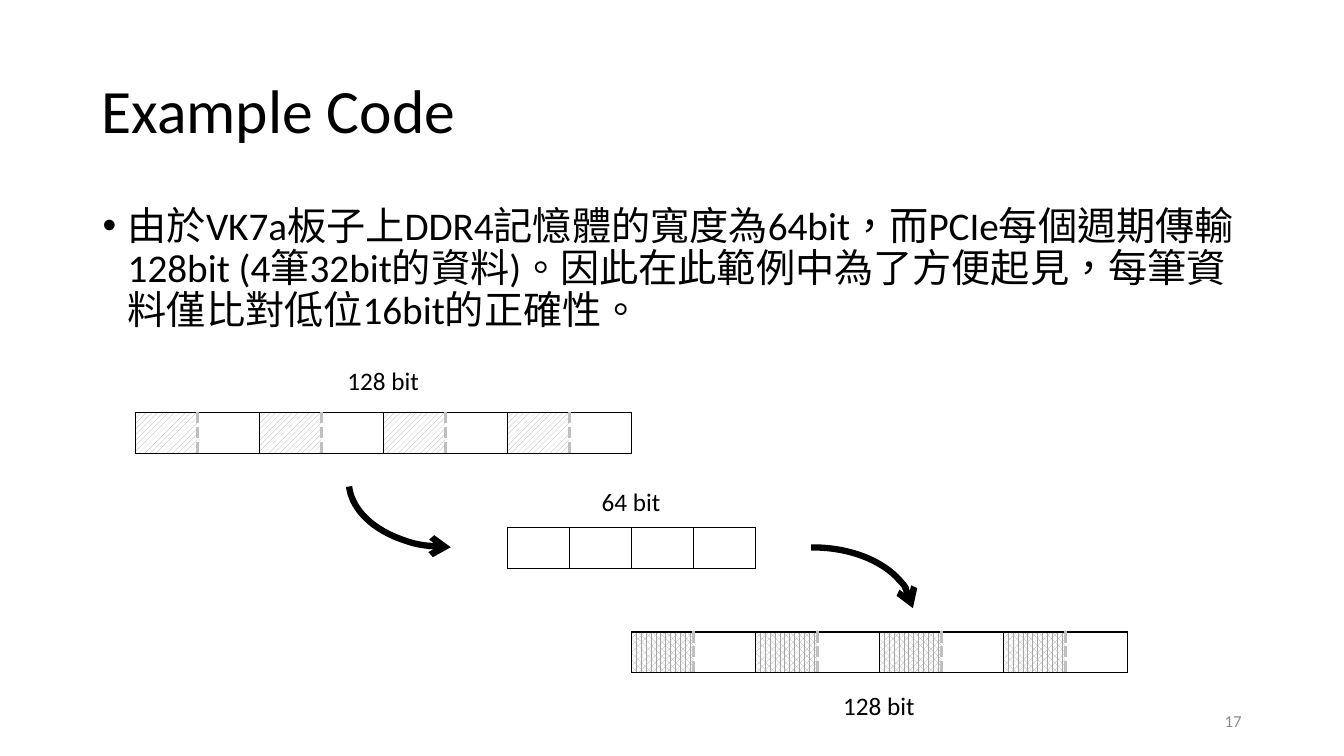
from lxml import etree
from pptx import Presentation
from pptx import util as u
from pptx.dml.color import RGBColor
from pptx.enum import dml, shapes, text
from pptx.oxml import ns

COLOURS = {"ink": "000000", "paper": "FFFFFF", "hatch": "A6A6A6",
           "dash": "BFBFBF", "number": "8C8C8C"}
FONT = "Calibri"
CELL_WIDTH, CELL_HEIGHT = 44.28, 29.2
BODY = ("由於VK7a板子上DDR4記憶體的寬度為64bit，而PCIe每個週期傳輸128bit "
        "(4筆32bit的資料)。因此在此範例中為了方便起見，每筆資料僅比對低位16bit的正確性。")


def colour(name):
    """Return the named colour."""
    return RGBColor.from_string(COLOURS[name])


def add_element(parent, tag, **attributes):
    """Append a drawing element to its parent."""
    element = etree.SubElement(parent, ns.qn(tag))
    for name, value in attributes.items():
        element.set(name, value)
    return element


def add_text(page, place, words, size, align=text.PP_ALIGN.LEFT,
             anchor=text.MSO_ANCHOR.TOP, ink="ink"):
    """Add a wrapped text box and return its paragraph."""
    box = page.shapes.add_textbox(*map(u.Pt, place))
    frame = box.text_frame
    frame.word_wrap = True
    frame.vertical_anchor = anchor
    frame.text = words
    para = frame.paragraphs[0]
    para.alignment = align
    span = para.runs[0]
    span.font.name, span.font.size = FONT, u.Pt(size)
    span.font.color.rgb = colour(ink)
    span._r.get_or_add_rPr().set("lang", "zh-TW")
    return para


def add_bullet(para, indent):
    """Give a paragraph a hanging bullet."""
    properties = para._p.get_or_add_pPr()
    properties.set("marL", str(u.Pt(indent)))
    properties.set("indent", str(u.Pt(-indent)))
    add_element(properties, "a:buFont", typeface="Arial")
    add_element(properties, "a:buChar", char="•")


def add_border(cell, side, dashed):
    """Draw one side of a cell, solid black or dashed grey."""
    width = u.Pt(2.25 if dashed else 1)
    line = add_element(cell._tc.get_or_add_tcPr(), "a:ln" + side, w=str(width))
    fill = add_element(line, "a:solidFill")
    add_element(fill, "a:srgbClr", val=COLOURS["dash" if dashed else "ink"])
    add_element(line, "a:prstDash", val="sysDash" if dashed else "solid")


def add_word(page, left, top, count, pattern=None):
    """Add a row of 16-bit cells; a pattern marks the high half of each pair."""
    frame = page.shapes.add_table(1, count, u.Pt(left), u.Pt(top),
                                  u.Pt(CELL_WIDTH * count), u.Pt(CELL_HEIGHT))
    table = frame.table
    table.first_row = table.horz_banding = False
    for index, cell in enumerate(table.iter_cells()):
        table.columns[index].width = u.Pt(CELL_WIDTH)
        high = index % 2 == 0
        add_border(cell, "L", bool(pattern) and not high)
        add_border(cell, "R", bool(pattern) and high)
        add_border(cell, "T", False)
        add_border(cell, "B", False)
        if pattern and high:
            cell.fill.patterned()
            cell.fill.pattern = pattern
            cell.fill.fore_color.rgb = colour("hatch")
            cell.fill.back_color.rgb = colour("paper")
        else:
            cell.fill.background()


def add_arc_arrow(page, left, top, end, rotation=0):
    """Add a thick quarter arc with an open arrowhead at one end."""
    arc = page.shapes.add_shape(shapes.MSO_SHAPE.ARC, u.Pt(left), u.Pt(top),
                                u.Pt(143.3), u.Pt(94.3))
    arc.shadow.inherit = False
    arc.adjustments[0], arc.adjustments[1] = 53.1, 106.19
    arc.rotation = rotation
    arc.fill.background()
    arc.line.color.rgb = colour("ink")
    arc.line.width = u.Pt(4.5)
    add_element(arc.line._get_or_add_ln(), end, type="arrow")


def main():
    """Build and save the slide."""
    deck = Presentation()
    deck.slide_width, deck.slide_height = u.Pt(960), u.Pt(540)
    page = deck.slides.add_slide(deck.slide_layouts[6])
    middle = text.MSO_ANCHOR.MIDDLE

    title = add_text(page, (65.5, 28.75, 828, 104.4), "Example Code", 44, anchor=middle)
    title.line_spacing = 0.9
    body = add_text(page, (66.2, 143.75, 828, 360), BODY, 28)
    body.line_spacing, body.space_before = 0.9, u.Pt(10)
    add_bullet(body, 18)
    add_text(page, (678, 500.5, 216, 28.75), "17", 12,
             text.PP_ALIGN.RIGHT, middle, "number")

    add_word(page, 96.8, 294.8, 8, dml.MSO_PATTERN.WIDE_UPWARD_DIAGONAL)
    add_word(page, 362.4, 376.9, 4)
    add_word(page, 451, 451.4, 8, dml.MSO_PATTERN.PERCENT_70)
    add_arc_arrow(page, 249.1, 296.6, "a:headEnd")
    add_arc_arrow(page, 509, 391, "a:tailEnd", 180)

    for left, top, words in ((225.4, 257.2, "128 bit"), (579.6, 489.6, "128 bit"),
                             (402.5, 343.8, "64 bit")):
        add_text(page, (left, top, 96.5, 29), words, 18, text.PP_ALIGN.CENTER)
    deck.save("out.pptx")


if __name__ == "__main__":
    main()
